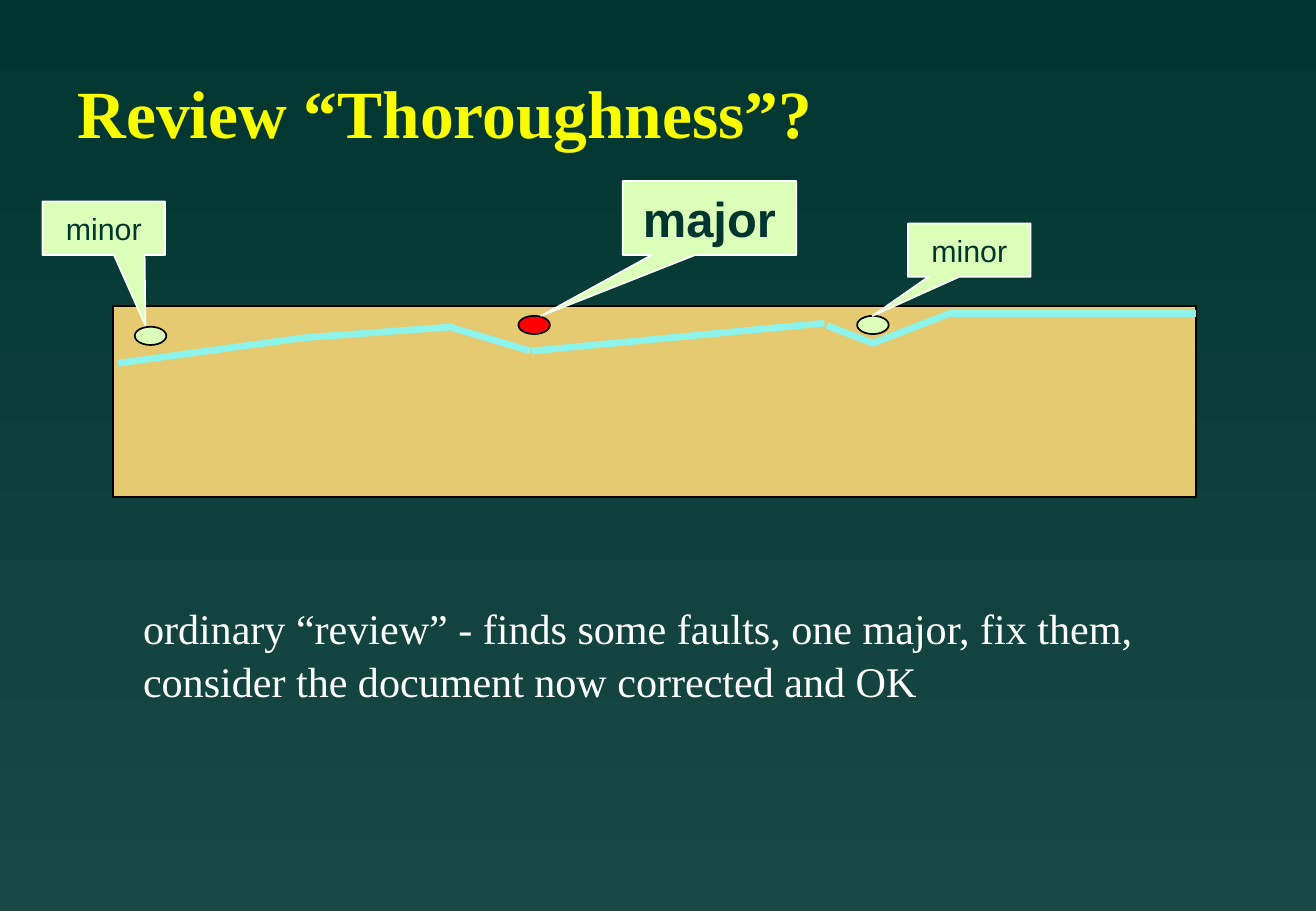
from dataclasses import dataclass
from typing import Any

from lxml import etree
from pptx import Presentation
from pptx.dml.color import RGBColor
from pptx.enum.shapes import MSO_CONNECTOR, MSO_SHAPE
from pptx.enum.text import MSO_ANCHOR, MSO_AUTO_SIZE, PP_ALIGN
from pptx.oxml.ns import qn
from pptx.util import Emu, Inches, Pt

STRAIGHT = MSO_CONNECTOR.STRAIGHT
RECTANGLE, OVAL = MSO_SHAPE.RECTANGLE, MSO_SHAPE.OVAL
CALLOUT = MSO_SHAPE.RECTANGULAR_CALLOUT
TOP, MIDDLE = MSO_ANCHOR.TOP, MSO_ANCHOR.MIDDLE
LEFT, CENTER = PP_ALIGN.LEFT, PP_ALIGN.CENTER
NO_AUTO_SIZE = MSO_AUTO_SIZE.NONE
TITLE_ONLY = 5
SLIDE_WIDTH, SLIDE_HEIGHT = Inches(10.84), Inches(7.5)


@dataclass(frozen=True)
class Theme:
    """Colours, fonts, type sizes and line widths of the slide."""

    dark: str = "003530"
    deep: str = "194944"
    yellow: str = "FAFD00"
    white: str = "FFFFFF"
    black: str = "000000"
    sand: str = "E5CA72"
    aqua: str = "8CF4EA"
    mint: str = "DBFFB8"
    red: str = "FF0000"
    serif: str = "Times New Roman"
    sans: str = "Arial"
    title_size: int = 40
    body_size: int = 25
    major_size: int = 29
    minor_size: int = 18
    outline: int = 1
    path_line: int = 4


THEME = Theme()


@dataclass(frozen=True)
class Box:
    """A rectangle in percent of the slide's width and height."""

    left: float
    top: float
    width: float
    height: float

    def lengths(self) -> tuple[Emu, Emu, Emu, Emu]:
        """Return left, top, width and height as slide lengths."""
        return across(self.left), down(self.top), across(self.width), down(self.height)


@dataclass(frozen=True)
class Segment:
    """One stretch of the review path, in percent of the slide."""

    start: tuple[float, float]
    end: tuple[float, float]


@dataclass(frozen=True)
class Fault:
    """A fault in the document with the callout that names it."""

    label: str
    spot: tuple[float, float]
    spot_color: str
    callout: Box
    tip: tuple[float, float]
    size: int
    bold: bool = False


TITLE_BOX = Box(4.98, 7.73, 84.96, 8.93)
SUMMARY_BOX = Box(9.96, 65.2, 77.21, 12.53)
DOCUMENT_BOX = Box(8.58, 33.6, 82.29, 20.93)
SPOT_WIDTH, SPOT_HEIGHT = 2.4, 2
SUMMARY = [
    "ordinary “review” - finds some faults, one major, fix them,",
    "consider the document now corrected and OK",
]
REVIEW_PATH = [
    Segment((8.95, 39.87), (23.15, 37.07)),
    Segment((23.15, 37.07), (34.5, 35.87)),
    Segment((34.41, 36), (40.31, 38.53)),
    Segment((40.41, 38.53), (62.64, 35.47)),
    Segment((62.82, 35.73), (66.42, 37.73)),
    Segment((66.24, 37.73), (72.42, 34.27)),
    Segment((72.32, 34.4), (90.87, 34.4)),
]
FAULTS = [
    Fault("major", (39.39, 34.67), THEME.red, Box(47.32, 19.87, 13.19, 8.13),
          (-0.97, 1.32), THEME.major_size, True),
    Fault("minor", (65.13, 34.67), THEME.mint, Box(69, 24.53, 9.32, 5.87),
          (-0.79, 1.23), THEME.minor_size),
    Fault("minor", (10.24, 35.87), THEME.mint, Box(3.23, 22.13, 9.32, 5.87),
          (0.34, 1.82), THEME.minor_size),
]


def across(percent: float) -> Emu:
    """Turn a percentage of the slide's width into a length."""
    return Emu(round(SLIDE_WIDTH * percent / 100))


def down(percent: float) -> Emu:
    """Turn a percentage of the slide's height into a length."""
    return Emu(round(SLIDE_HEIGHT * percent / 100))


def write_text(shape: Any, lines: list[str], *, font: str, size: int, color: str,
               bold: bool = False, align: Any = LEFT, anchor: Any = MIDDLE,
               wrap: bool = False, spacing: float = 1.0) -> None:
    """Fill a shape with one formatted paragraph for each line."""
    frame = shape.text_frame
    frame.text = "\n".join(lines)
    frame.word_wrap = wrap
    frame.auto_size = NO_AUTO_SIZE
    frame.vertical_anchor = anchor
    for paragraph in frame.paragraphs:
        paragraph.alignment = align
        paragraph.line_spacing = spacing
        paragraph.font.name = font
        paragraph.font.size = Pt(size)
        paragraph.font.bold = bold
        paragraph.font.color.rgb = RGBColor.from_string(color)


def add_figure(shapes: Any, kind: Any, box: Box, fill: str, line: str) -> Any:
    """Add a filled and outlined preset shape."""
    shape = shapes.add_shape(kind, *box.lengths())
    shape.shadow.inherit = False
    shape.fill.solid()
    shape.fill.fore_color.rgb = RGBColor.from_string(fill)
    shape.line.color.rgb = RGBColor.from_string(line)
    shape.line.width = Pt(THEME.outline)
    return shape


def add_segment(shapes: Any, segment: Segment) -> None:
    """Add one stretch of the review path."""
    (start_x, start_y), (end_x, end_y) = segment.start, segment.end
    connector = shapes.add_connector(
        STRAIGHT, across(start_x), down(start_y), across(end_x), down(end_y))
    connector.line.color.rgb = RGBColor.from_string(THEME.aqua)
    connector.line.width = Pt(THEME.path_line)
    etree.SubElement(connector._element.spPr, qn("a:effectLst"))


def add_fault(slide: Any, fault: Fault) -> None:
    """Add a grouped fault spot and its callout."""
    shapes = slide.shapes.add_group_shape().shapes
    spot = Box(*fault.spot, SPOT_WIDTH, SPOT_HEIGHT)
    add_figure(shapes, OVAL, spot, fault.spot_color, THEME.black)
    callout = add_figure(shapes, CALLOUT, fault.callout, THEME.mint, THEME.white)
    callout.adjustments[0], callout.adjustments[1] = fault.tip
    write_text(callout, [fault.label], font=THEME.sans, size=fault.size,
               color=THEME.dark, bold=fault.bold, align=CENTER)


def paint_background(slide: Any) -> None:
    """Fill the background with a gradient from top to bottom."""
    fill = slide.background.fill
    fill.gradient()
    fill.gradient_angle = 270
    for stop, color in zip(fill.gradient_stops, (THEME.dark, THEME.deep)):
        stop.color.rgb = RGBColor.from_string(color)


def main() -> None:
    """Build the slide and save it."""
    presentation = Presentation()
    presentation.slide_width, presentation.slide_height = SLIDE_WIDTH, SLIDE_HEIGHT
    slide = presentation.slides.add_slide(presentation.slide_layouts[TITLE_ONLY])
    paint_background(slide)
    title = slide.shapes.title
    title.left, title.top, title.width, title.height = TITLE_BOX.lengths()
    write_text(title, ["Review “Thoroughness”?"], font=THEME.serif,
               size=THEME.title_size, color=THEME.yellow, bold=True, wrap=True)
    summary = slide.shapes.add_textbox(*SUMMARY_BOX.lengths())
    write_text(summary, SUMMARY, font=THEME.serif, size=THEME.body_size,
               color=THEME.white, anchor=TOP, spacing=1.05)
    add_figure(slide.shapes, RECTANGLE, DOCUMENT_BOX, THEME.sand, THEME.black)
    path_shapes = slide.shapes.add_group_shape().shapes
    for segment in REVIEW_PATH:
        add_segment(path_shapes, segment)
    for fault in FAULTS:
        add_fault(slide, fault)
    presentation.save("out.pptx")


if __name__ == "__main__":
    main()
